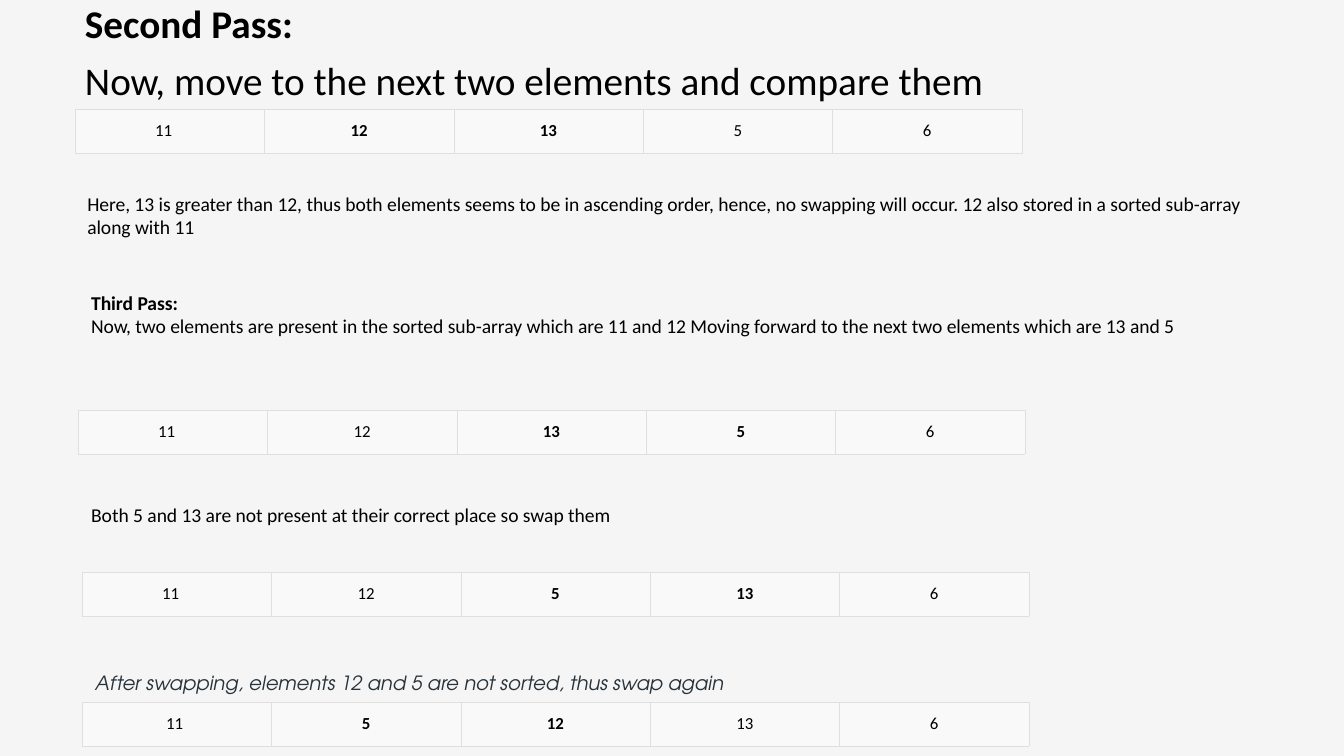
from lxml import etree
from pptx import Presentation
from pptx.dml.color import RGBColor
from pptx.enum.text import MSO_ANCHOR, MSO_AUTO_SIZE, PP_ALIGN
from pptx.oxml.ns import qn
from pptx.util import Emu, Pt

CENTER = PP_ALIGN.CENTER
MIDDLE = MSO_ANCHOR.MIDDLE
GROW = MSO_AUTO_SIZE.SHAPE_TO_FIT_TEXT
FIXED = MSO_AUTO_SIZE.NONE
SCALE = 914400 / 134.4
HEX = {"back": "F5F5F5", "cell": "F9F9F9", "edge": "DFDFDF",
       "ink": "000000", "slate": "273239"}
CELL_W, CELL_H = 189.4, 44


def px(num):
    """Turn pixels into EMU."""
    return Emu(round(num * SCALE))


def rgb(name):
    """Look up a named colour."""
    return RGBColor.from_string(HEX[name])


def write(par, words, size=10.5, font="Calibri", color="ink", bold=False, italic=False):
    """Add formatted words to a paragraph."""
    run = par.add_run()
    run.text = words
    face = run.font
    face.name, face.size = font, Pt(size)
    face.bold, face.italic = bold, italic
    face.color.rgb = rgb(color)


def fill_lines(frame, lines, **style):
    """Write one paragraph per line, with a bold head when there are several."""
    for i, words in enumerate(lines):
        par = frame.paragraphs[0] if i == 0 else frame.add_paragraph()
        write(par, words, bold=i == 0 and len(lines) > 1, **style)


def add_head(slide, lines):
    """Put the leading text into the body placeholder."""
    body = slide.placeholders[1]
    body.left, body.top, body.width, body.height = px(75), px(0), px(1253), px(168)
    frame = body.text_frame
    frame.auto_size = FIXED
    frame.margin_left = frame.margin_right = px(10)
    frame.margin_top = frame.margin_bottom = px(5)
    fill_lines(frame, lines, size=21)
    for par in frame.paragraphs:
        par.line_spacing, par.space_before = 0.9, Pt(7.5)
        props = par._p.get_or_add_pPr()
        props.set("marL", "0")
        props.set("indent", "0")
        etree.SubElement(props, qn("a:buNone"))


def add_note(slide, left, top, width, height, lines, **style):
    """Add a wrapped text box."""
    frame = slide.shapes.add_textbox(px(left), px(top), px(width), px(height)).text_frame
    frame.word_wrap = True
    frame.auto_size = GROW
    fill_lines(frame, lines, **style)


def add_edges(cell):
    """Draw a hairline on each side of a cell."""
    props = cell._tc.get_or_add_tcPr()
    for side in ("lnL", "lnR", "lnT", "lnB"):
        line = etree.SubElement(props, qn("a:" + side), w=str(Pt(0.18)))
        paint = etree.SubElement(line, qn("a:solidFill"))
        etree.SubElement(paint, qn("a:srgbClr"), val=HEX["edge"])


def add_array(slide, left, top, values, pair, shift=12):
    """Add a one-row table with the compared pair, from its first index, in bold."""
    count = len(values)
    table = slide.shapes.add_table(1, count, px(left), px(top),
                                   px(CELL_W * count), px(CELL_H)).table
    table.first_row = table.horz_banding = False
    for i, value in enumerate(values):
        table.columns[i].width = px(CELL_W)
        cell = table.cell(0, i)
        add_edges(cell)
        cell.fill.solid()
        cell.fill.fore_color.rgb = rgb("cell")
        cell.vertical_anchor = MIDDLE
        cell.margin_left = px(8)
        cell.margin_right = px(8 + (shift if i == 0 else 0))
        cell.margin_top = cell.margin_bottom = px(12)
        par = cell.text_frame.paragraphs[0]
        par.alignment = CENTER
        write(par, str(value), size=9, bold=i in (pair, pair + 1))


def main():
    """Build the slide and save it."""
    deck = Presentation()
    deck.slide_width, deck.slide_height = px(1344), px(756)
    slide = deck.slides.add_slide(deck.slide_layouts[1])
    title = slide.shapes.title.element
    title.getparent().remove(title)
    back = slide.background.fill
    back.solid()
    back.fore_color.rgb = rgb("back")

    add_head(slide, ["Second Pass:", "Now, move to the next two elements and compare them"])
    add_array(slide, 75, 109, [11, 12, 13, 5, 6], 1)
    add_note(slide, 74, 185, 1220, 60, [
        "Here, 13 is greater than 12, thus both elements seems to be in ascending order, "
        "hence, no swapping will occur. 12 also stored in a sorted sub-array along with 11"])
    add_note(slide, 78, 284, 1215, 60, [
        "Third Pass:",
        "Now, two elements are present in the sorted sub-array which are 11 and 12 "
        "Moving forward to the next two elements which are 13 and 5"])
    add_array(slide, 78, 410, [11, 12, 13, 5, 6], 2)
    add_note(slide, 78, 496, 1081, 38,
             ["Both 5 and 13 are not present at their correct place so swap them"])
    add_array(slide, 82, 572, [11, 12, 5, 13, 6], 2)
    add_note(slide, 82, 664, 1187, 38,
             ["After swapping, elements 12 and 5 are not sorted, thus swap again"],
             font="TeX Gyre Adventor", color="slate", italic=True)
    add_array(slide, 82, 702, [11, 5, 12, 13, 6], 1, shift=4)
    deck.save("out.pptx")


if __name__ == "__main__":
    main()
